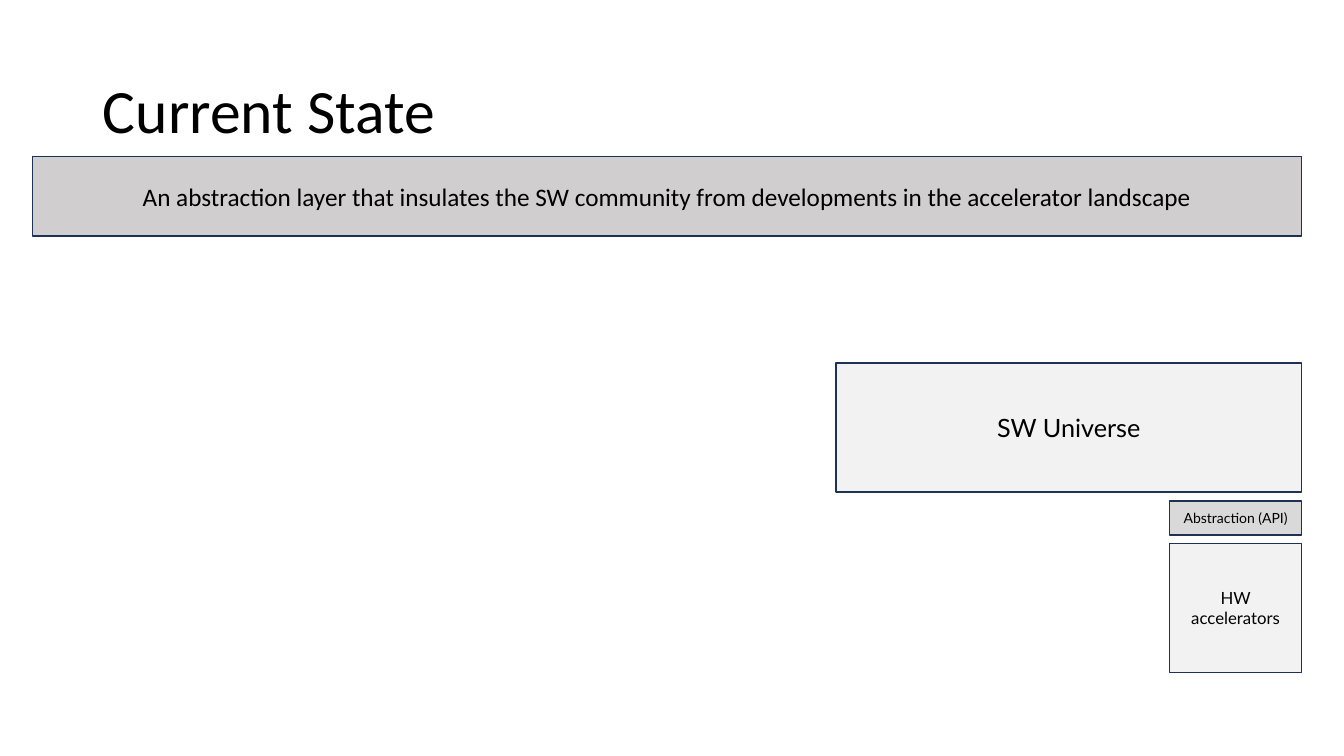
import pptx
import pptx.util
import pptx.dml.color
import pptx.enum.shapes
import pptx.enum.text

Inches, Pt = pptx.util.Inches, pptx.util.Pt
RGB = pptx.dml.color.RGBColor.from_string
PP_ALIGN = pptx.enum.text.PP_ALIGN
MIDDLE = pptx.enum.text.MSO_ANCHOR.MIDDLE

COLORS = {"text": "000000", "line": "1E3256", "banner": "D0CECE",
          "layer": "D9D9D9", "block": "F2F2F2"}
RIGHT = 12.91  # shared right edge of all boxes

prs = pptx.Presentation()
prs.slide_width, prs.slide_height = Inches(13.33), Inches(7.5)
s = prs.slides.add_slide(prs.slide_layouts[5])


def set_text(sp, text, size, font, align):
    tf = sp.text_frame
    tf.text = text
    tf.word_wrap = True
    tf.vertical_anchor = MIDDLE
    p = tf.paragraphs[0]
    p.alignment = align
    r = p.runs[0]
    r.font.size = Pt(size)
    r.font.name = font
    r.font.color.rgb = RGB(COLORS["text"])


# Title
title = s.shapes.title
title.left, title.top = Inches(0.92), Inches(0.4)
title.width, title.height = Inches(11.5), Inches(1.45)
set_text(title, "Current State", 44, "Calibri", PP_ALIGN.LEFT)
title.text_frame.paragraphs[0].line_spacing = 0.9

# Boxes, aligned right: text, top, width, height, fill, size, font
boxes = [
    ("Abstraction (API)", 4.97, 1.31, 0.34, "layer", 10, "Lato"),
    ("SW Universe", 3.6, 4.62, 1.28, "block", 18, "Lato"),
    ("HW accelerators", 5.39, 1.31, 1.28, "block", 12, "Lato"),
    ("An abstraction layer that insulates the SW community from "
     "developments in the accelerator landscape",
     1.55, 12.59, 0.79, "banner", 18, "Calibri"),
]
for text, top, width, height, fill, size, font in boxes:
    sp = s.shapes.add_shape(pptx.enum.shapes.MSO_SHAPE.RECTANGLE,
                            Inches(RIGHT - width), Inches(top),
                            Inches(width), Inches(height))
    sp.shadow.inherit = False
    sp.fill.solid()
    sp.fill.fore_color.rgb = RGB(COLORS[fill])
    sp.line.color.rgb = RGB(COLORS["line"])
    sp.line.width = Pt(1)
    set_text(sp, text, size, font, PP_ALIGN.CENTER)

prs.save("out.pptx")
